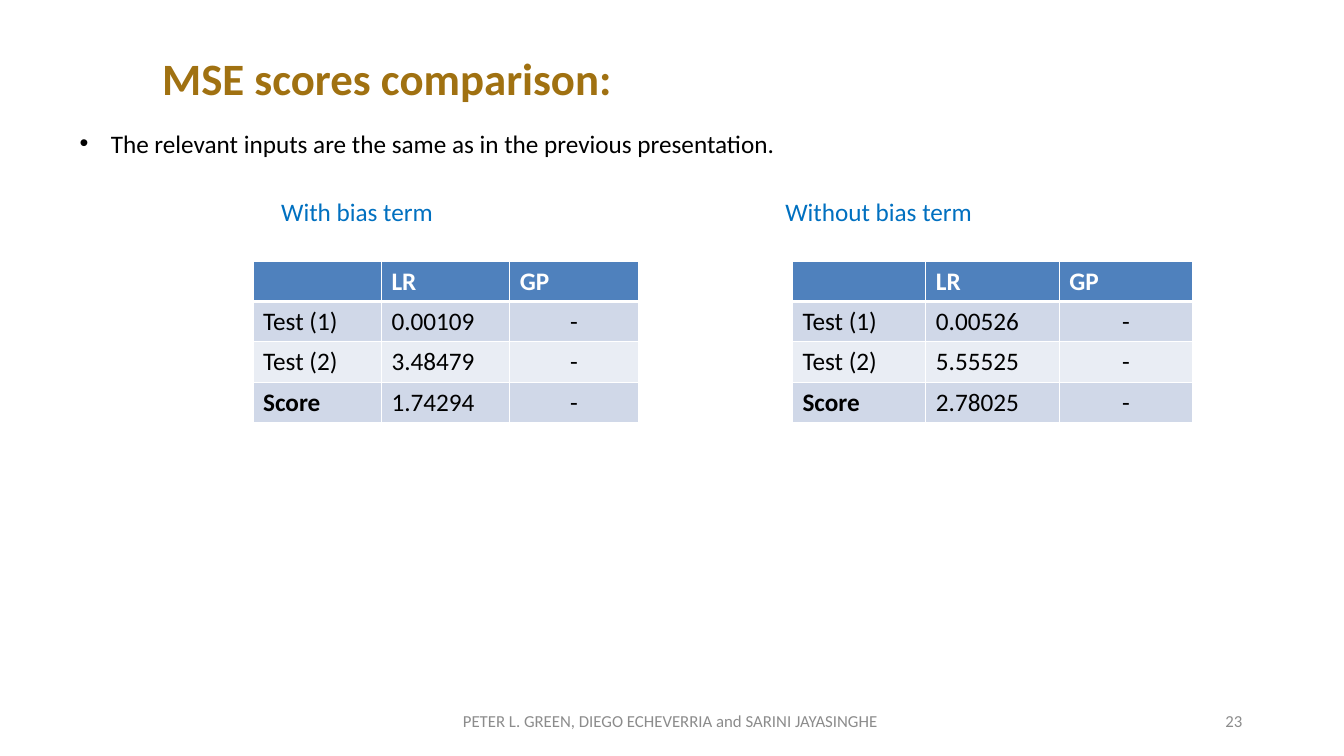
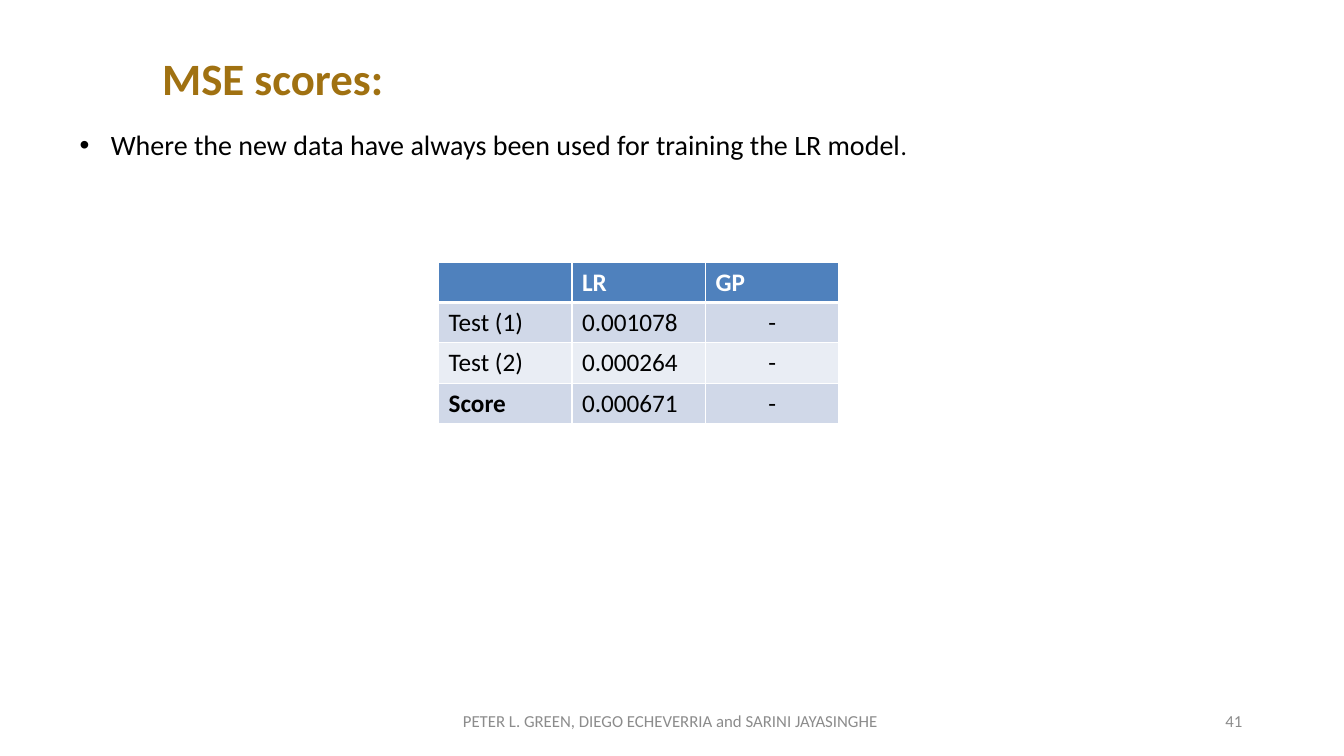
from dataclasses import dataclass

from lxml.etree import SubElement as Sub
from pptx import Presentation
from pptx.dml.color import RGBColor as Rgb
from pptx.enum.text import MSO_ANCHOR as Anchor, PP_ALIGN as Align
from pptx.oxml import parse_xml
from pptx.oxml.ns import nsdecls, qn
from pptx.util import Inches, Pt


@dataclass(frozen=True)
class Theme:
    font: str = "Calibri"
    gold: str = "A07111"
    ink: str = "000000"
    blue: str = "0070C0"
    grey: str = "8C8C8C"
    white: str = "FFFFFF"
    head: str = "4F81BD"
    bands: tuple = ("D0D8E8", "E9EDF4")
    title: int = 32
    lead: int = 20
    body: int = 18
    foot: int = 12


LOOK = Theme()
AUTHORS = "PETER L. GREEN, DIEGO ECHEVERRIA and SARINI JAYASINGHE"
TITLE = (1.51, 0.45, 9.66, 0.64)
BODY = (0.69, 1.22, 12.35, 0.5)
FOOTER = (4.4, 6.95, 4.5, 0.4)
NUMBER = (9.42, 6.95, 3, 0.4)
ROW = 0.4
LABELS = ("Test (1)", "Test (2)", "Score")


def style(run, size, color, bold=False):
    font = run.font
    font.name, font.size, font.bold = LOOK.font, Pt(size), bold
    font.color.rgb = Rgb.from_string(color)


def write(slide, box, text, size, color, bold=False,
          align=Align.LEFT, anchor=Anchor.TOP):
    frame = slide.shapes.add_textbox(*map(Inches, box)).text_frame
    frame.word_wrap = True
    frame.vertical_anchor = anchor
    frame.text = text
    para = frame.paragraphs[0]
    para.alignment = align
    style(para.runs[0], size, color, bold)
    return para


def bullet(para):
    props = para._p.get_or_add_pPr()
    props.set("marL", str(Inches(0.31)))
    props.set("indent", str(-Inches(0.31)))
    Sub(props, qn("a:buFont")).set("typeface", "Arial")
    Sub(props, qn("a:buChar")).set("char", "•")


def border(cell, widths):
    props = cell._tc.get_or_add_tcPr()
    for spot, (side, width) in enumerate(zip("LRTB", widths)):
        line = parse_xml(
            f'<a:ln{side} {nsdecls("a")} w="{Pt(width)}"><a:solidFill>'
            f'<a:srgbClr val="{LOOK.white}"/></a:solidFill></a:ln{side}>')
        props.insert(spot, line)


def grid(slide, left, top, width, scores):
    rows = [("", "LR", "GP")] + [
        (label, score, "-") for label, score in zip(LABELS, scores)]
    frame = slide.shapes.add_table(
        len(rows), 3, *map(Inches, (left, top, width, ROW * len(rows))))
    table = frame.table
    table.first_row = table.horz_banding = False
    for r, row in enumerate(rows):
        head = r == 0
        fill = LOOK.head if head else LOOK.bands[(r - 1) % 2]
        for c, text in enumerate(row):
            cell = table.cell(r, c)
            cell.fill.solid()
            cell.fill.fore_color.rgb = Rgb.from_string(fill)
            border(cell, (1, 1, 3 if r == 1 else 1, 3 if head else 1))
            cell.text_frame.text = text
            para = cell.text_frame.paragraphs[0]
            if text == "-":
                para.alignment = Align.CENTER
            for run in para.runs:
                style(run, LOOK.body, LOOK.white if head else LOOK.ink,
                      head or text == "Score")


def page(deck, title, number):
    slide = deck.slides.add_slide(deck.slide_layouts[6])
    write(slide, FOOTER, AUTHORS, LOOK.foot, LOOK.grey,
          align=Align.CENTER, anchor=Anchor.MIDDLE)
    write(slide, NUMBER, str(number), LOOK.foot, LOOK.grey,
          align=Align.RIGHT, anchor=Anchor.MIDDLE)
    write(slide, TITLE, title, LOOK.title, LOOK.gold, True)
    return slide


def compare(deck):
    slide = page(deck, "MSE scores comparison:", 23)
    bullet(write(
        slide, BODY,
        "The relevant inputs are the same as in the previous presentation.",
        LOOK.body, LOOK.ink))
    for left, text in ((2.69, "With bias term"), (7.69, "Without bias term")):
        write(slide, (left, 1.9, 3, ROW), text, LOOK.body, LOOK.blue)
    grid(slide, 2.51, 2.59, 3.82, ("0.00109", "3.48479", "1.74294"))
    grid(slide, 7.86, 2.59, 3.97, ("0.00526", "5.55525", "2.78025"))


def scores(deck):
    slide = page(deck, "MSE scores:", 41)
    para = write(
        slide, BODY,
        "Where the new data have always been used for training the LR model",
        LOOK.lead, LOOK.ink)
    bullet(para)
    stop = para.add_run()
    stop.text = "."
    style(stop, LOOK.body, LOOK.ink)
    grid(slide, 4.35, 2.6, 3.97, ("0.001078", "0.000264", "0.000671"))


def main():
    deck = Presentation()
    deck.slide_width, deck.slide_height = Inches(13.33), Inches(7.5)
    compare(deck)
    scores(deck)
    deck.save("out.pptx")


if __name__ == "__main__":
    main()
